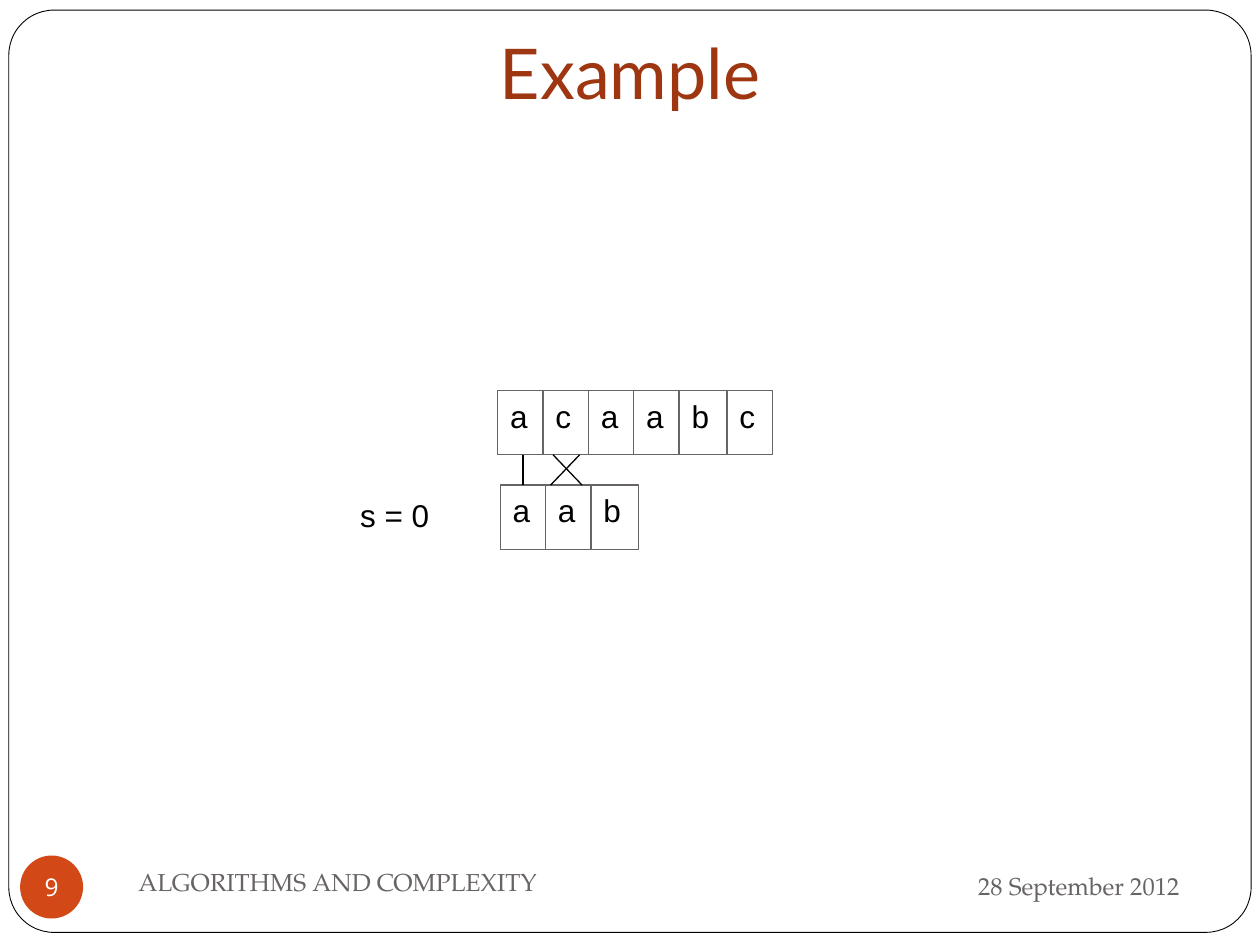
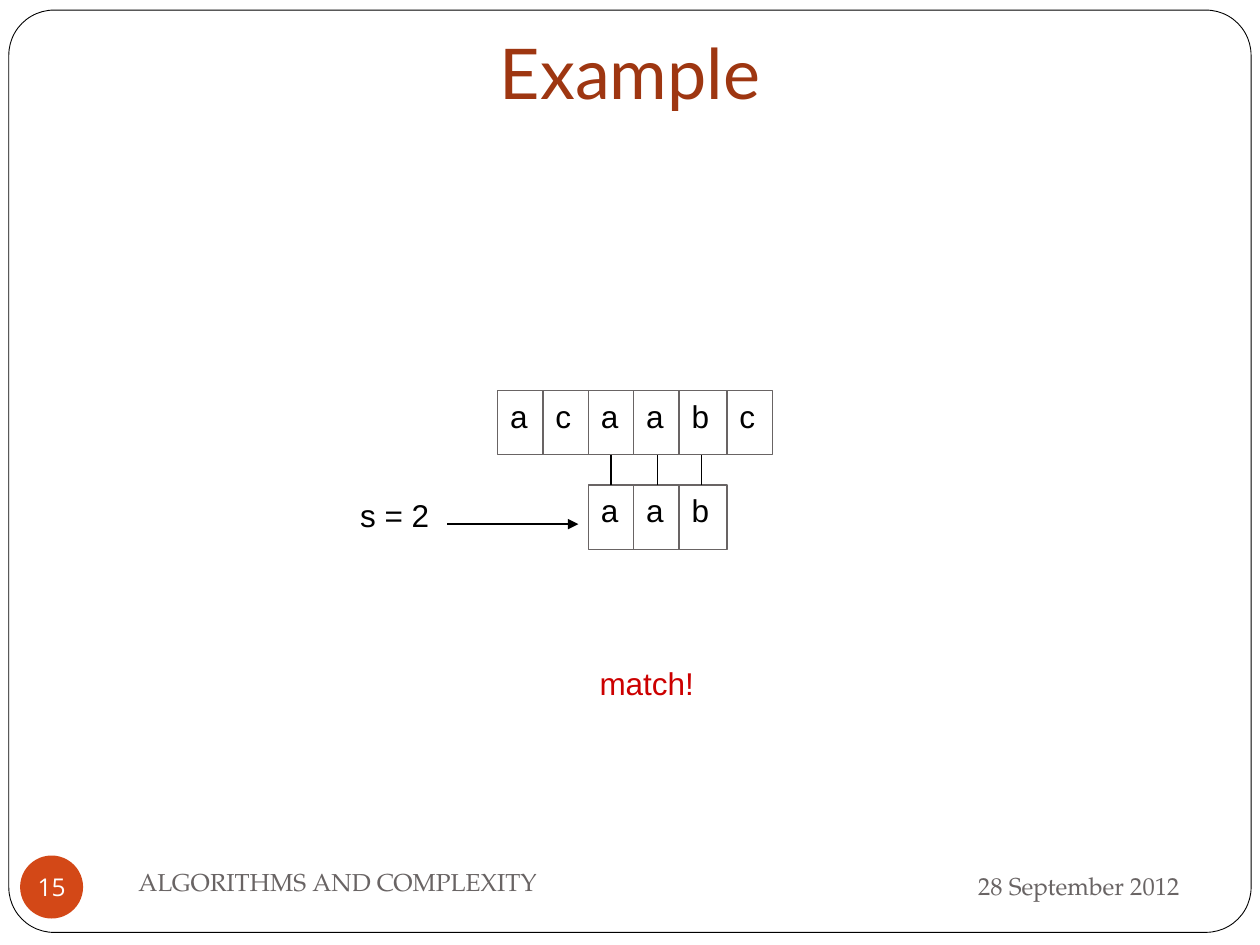
"""Build two slides that show naive string matching at shifts 0 and 2."""
from lxml import etree
from pptx import Presentation, util as u
from pptx.dml import color
from pptx.enum import shapes, text
from pptx.oxml import ns

BLACK, GREY, WHITE = "000000", "696464", "FFFFFF"
ORANGE, RUST, RED = "D34817", "9E3611", "CC0000"
SERIF, SANS, HEAD, BODY = "TeX Gyre Pagella", "Open Sans", "Lato", "Arial"
LEFT, MID, RIGHT = text.PP_ALIGN.LEFT, text.PP_ALIGN.CENTER, text.PP_ALIGN.RIGHT
TOP, CENTER, BASE = text.MSO_ANCHOR.TOP, text.MSO_ANCHOR.MIDDLE, text.MSO_ANCHOR.BOTTOM
RECT, ROUND, OVAL = (shapes.MSO_SHAPE.RECTANGLE, shapes.MSO_SHAPE.ROUNDED_RECTANGLE,
                     shapes.MSO_SHAPE.OVAL)
INSETS = (0.1, 0.05, 0.1, 0.05)
WIDTHS = {"a": 0.36, "b": 0.38, "c": 0.36}
TALL, UPPER, LOWER = 0.51, 3.1, 3.85
LINK = UPPER + TALL


def rgb(code):
    return color.RGBColor.from_string(code)


class Deck:
    def __init__(self):
        self.show = Presentation()
        self.show.slide_width = u.Inches(10)
        self.show.slide_height = u.Inches(7.5)
        self.slide = None

    def page(self, number):
        self.slide = self.show.slides.add_slide(self.show.slide_layouts[6])
        frame = self.shape(ROUND, (0.07, 0.08, 9.86, 7.32), WHITE, BLACK, 0.5)
        frame.adjustments[0] = 0.049
        self.label((6.75, 6.77, 2.71, 0.52), "28 September 2012", 14, SERIF, GREY, RIGHT, CENTER)
        disc = self.shape(OVAL, (0.16, 6.79, 0.5, 0.5), ORANGE)
        self.letter(disc, str(number), 14, SANS, WHITE, MID, CENTER, (0, 0, 0, 0), wrap=False)
        self.label((1, 6.75, 4.33, 0.5), "ALGORITHMS AND COMPLEXITY", 14, SERIF, GREY, LEFT, CENTER)
        self.label((0, 0, 10, 1), "Example", 40, HEAD, RUST, MID, BASE, (0.1, 0.05, 0.1, 0.1))

    def shape(self, kind, box, fill=None, line=None, width=0.75):
        item = self.slide.shapes.add_shape(kind, *map(u.Inches, box))
        item.shadow.inherit = False
        if fill:
            item.fill.solid()
            item.fill.fore_color.rgb = rgb(fill)
        else:
            item.fill.background()
        if line:
            item.line.color.rgb = rgb(line)
            item.line.width = u.Pt(width)
        else:
            item.line.fill.background()
        return item

    def letter(self, item, words, size=18, font=BODY, ink=BLACK, align=LEFT,
               anchor=TOP, insets=INSETS, wrap=True, grow=False):
        frame = item.text_frame
        frame.word_wrap = wrap
        if grow:
            frame.auto_size = text.MSO_AUTO_SIZE.SHAPE_TO_FIT_TEXT
        frame.vertical_anchor = anchor
        (frame.margin_left, frame.margin_top,
         frame.margin_right, frame.margin_bottom) = map(u.Inches, insets)
        para = frame.paragraphs[0]
        para.alignment = align
        run = para.add_run()
        run.text = words
        run.font.size = u.Pt(size)
        run.font.name = font
        run.font.color.rgb = rgb(ink)

    def label(self, box, words, *style, **rest):
        item = self.slide.shapes.add_textbox(*map(u.Inches, box))
        self.letter(item, words, *style, **rest)

    def note(self, box, words, ink=BLACK):
        self.label(box, words, ink=ink, wrap=False, grow=True)

    def cells(self, left, top, word):
        for char in word:
            width = WIDTHS[char]
            cell = self.shape(RECT, (left, top, width, TALL), line=GREY)
            self.letter(cell, char, wrap=False, grow=True)
            left += width

    def line(self, start, end, arrow=False):
        item = self.slide.shapes.add_connector(
            shapes.MSO_CONNECTOR.STRAIGHT, *map(u.Inches, start + end))
        item.line.color.rgb = rgb(BLACK)
        item.line.width = u.Pt(0.75)
        props = item.element.spPr
        if arrow:
            etree.SubElement(props.find(ns.qn("a:ln")), ns.qn("a:tailEnd"), type="triangle")
        etree.SubElement(props, ns.qn("a:effectLst"))

    def match(self, x):
        self.line((x, LOWER), (x, LINK))

    def cross(self, left, right):
        self.line((left + 0.02, LINK), (right, LOWER))
        self.line((right - 0.02, LINK), (left, LOWER))

    def trial(self, number, shift, left):
        self.page(number)
        self.cells(3.95, UPPER, "acaabc")
        self.cells(left, LOWER, "aab")
        self.note((2.76, 3.89, 0.85, 0.5), f"s = {shift}")


deck = Deck()

deck.trial(9, 0, 3.97)
deck.match(4.15)
deck.cross(4.37, 4.62)

deck.trial(15, 2, 4.67)
deck.line((3.55, 4.16), (4.59, 4.16), arrow=True)
for x in (4.85, 5.22, 5.57):
    deck.match(x)
deck.note((4.66, 5.22, 1.12, 0.5), "match!", RED)

deck.show.save("out.pptx")
